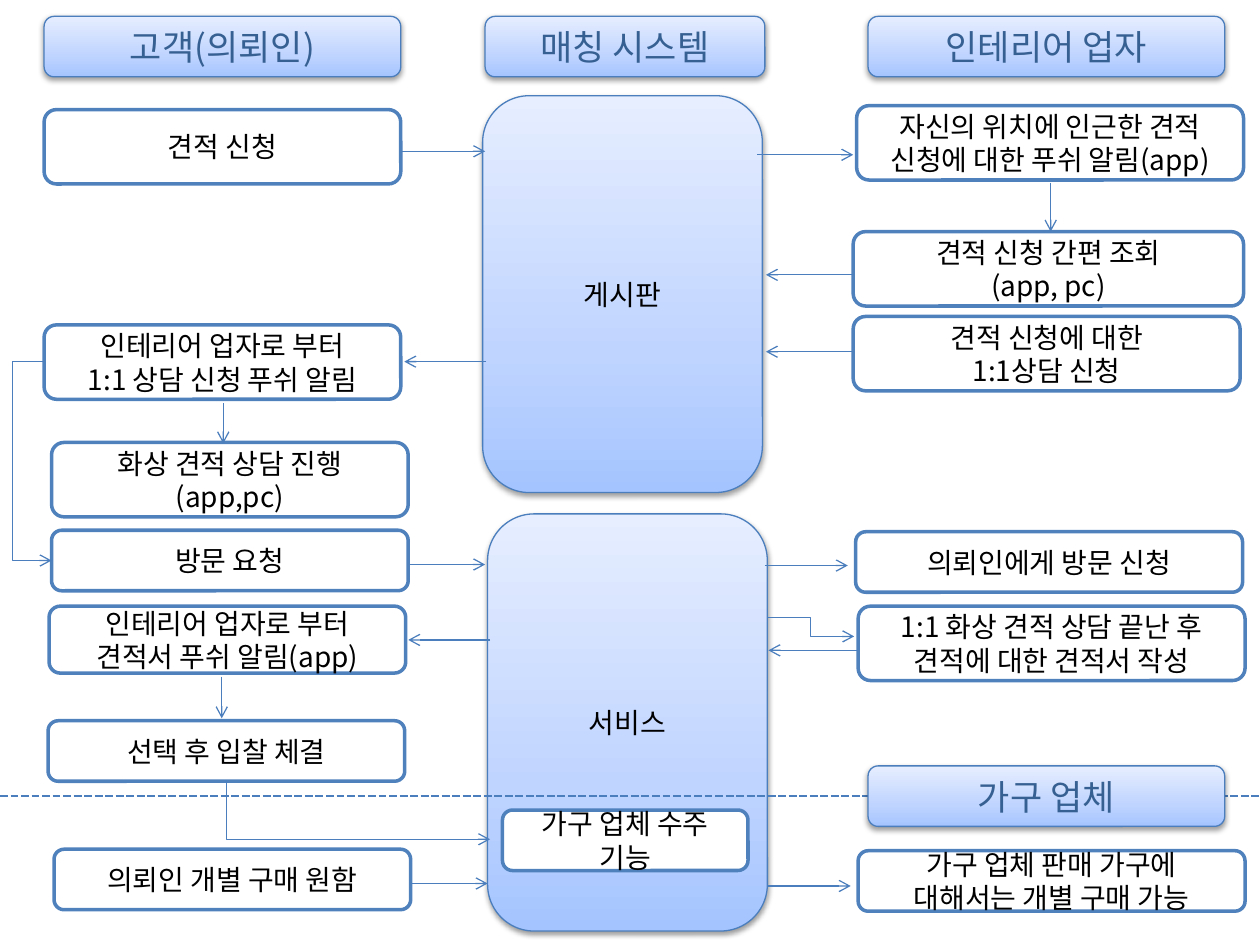
from dataclasses import dataclass

from lxml.etree import SubElement
from pptx import Presentation
from pptx.dml.color import RGBColor as Color
from pptx.enum.dml import MSO_LINE_DASH_STYLE as Dash
from pptx.enum.shapes import MSO_CONNECTOR_TYPE as Link, MSO_SHAPE as Preset
from pptx.enum.text import MSO_VERTICAL_ANCHOR as Anchor, PP_PARAGRAPH_ALIGNMENT as Align
from pptx.oxml import parse_xml
from pptx.oxml.ns import nsdecls, qn
from pptx.util import Cm, Pt


@dataclass(frozen=True)
class Theme:
    """Colours, type sizes and line widths of the slide."""

    font: str = "Noto Sans CJK KR"
    heading: str = "376092"
    text: str = "000000"
    paper: str = "FFFFFF"
    border: str = "4F81BD"
    line: str = "4B7EBC"
    gradient: tuple = ((0, "A4C4FF"), (35, "BFD4FF"), (100, "E6EEFF"))
    heading_size: int = 20
    text_size: int = 16
    border_width: float = 2
    line_width: float = 0.75
    divider_width: float = 1.5


def write_text(box, text, font, size, color):
    """Fill a shape with centred lines of text."""
    frame = box.text_frame
    frame.word_wrap = True
    frame.vertical_anchor = Anchor.MIDDLE
    for index, line in enumerate(text.split("\n")):
        para = frame.add_paragraph() if index else frame.paragraphs[0]
        para.alignment = Align.CENTER
        span = para.add_run()
        span.text = line
        span.font.size = Pt(size)
        span.font.name = font
        span.font.color.rgb = Color.from_string(color)
        SubElement(span.font._element, qn("a:ea")).set("typeface", font)


class FlowPage:
    """Draws the parts of a flow chart on one page, in centimetres."""

    def __init__(self, page, theme):
        self.shapes = page.shapes
        self.theme = theme

    def rounded(self, place, line_color, line_width):
        """Add a rounded rectangle without a shadow."""
        box = self.shapes.add_shape(Preset.ROUNDED_RECTANGLE, *map(Cm, place))
        box.shadow.inherit = False
        box.line.color.rgb = Color.from_string(line_color)
        box.line.width = Pt(line_width)
        return box

    def step(self, text, *place):
        """Add a white step box."""
        theme = self.theme
        box = self.rounded(place, theme.border, theme.border_width)
        box.fill.solid()
        box.fill.fore_color.rgb = Color.from_string(theme.paper)
        write_text(box, text, font=theme.font, size=theme.text_size, color=theme.text)

    def panel(self, text, *place, size=None, color=None):
        """Add a shaded panel with a gradient and a soft shadow."""
        theme = self.theme
        box = self.rounded(place, theme.line, theme.line_width)
        box.fill.background()
        stops = "".join(
            f'<a:gs pos="{position * 1000}"><a:srgbClr val="{shade}"/></a:gs>'
            for position, shade in theme.gradient
        )
        properties = box._element.spPr
        properties.replace(properties.find(qn("a:noFill")), parse_xml(
            f'<a:gradFill {nsdecls("a")} rotWithShape="1"><a:gsLst>{stops}</a:gsLst>'
            '<a:lin ang="16200000" scaled="0"/></a:gradFill>'
        ))
        properties.find(qn("a:effectLst")).append(parse_xml(
            f'<a:outerShdw {nsdecls("a")} blurRad="40000" dist="20000" dir="5400000"'
            ' rotWithShape="0"><a:srgbClr val="000000"><a:alpha val="38000"/>'
            '</a:srgbClr></a:outerShdw>'
        ))
        write_text(box, text, font=theme.font, size=size or theme.text_size,
                   color=color or theme.text)

    def header(self, text, *place):
        """Add a shaded column heading."""
        self.panel(text, *place, size=self.theme.heading_size, color=self.theme.heading)

    def connect(self, ends, kind=Link.STRAIGHT, arrow=True, width=None):
        """Add a connector between two points."""
        link = self.shapes.add_connector(kind, *map(Cm, ends))
        link.line.color.rgb = Color.from_string(self.theme.line)
        link.line.width = Pt(width or self.theme.line_width)
        if arrow:
            SubElement(link.line._get_or_add_ln(), qn("a:tailEnd")).set("type", "arrow")
        SubElement(link._element.spPr, qn("a:effectLst"))
        return link

    def arrow(self, *ends):
        """Add a straight arrow."""
        self.connect(ends)

    def elbow(self, *ends, bend):
        """Add an arrow that turns twice, at the given horizontal position."""
        link = self.connect(ends, kind=Link.ELBOW)
        left, _, right, _ = ends
        ratio = round((bend - left) / (right - left) * 100000)
        geometry = link._element.spPr.find(qn("a:prstGeom"))
        guide = SubElement(geometry.find(qn("a:avLst")), qn("a:gd"))
        guide.set("name", "adj1")
        guide.set("fmla", f"val {ratio}")

    def corner(self, left, top, right, bottom):
        """Add an arrow that goes down and then right."""
        link = self.connect((left, top, right, bottom), kind=Link.ELBOW)
        across, down = right - left, bottom - top
        link.left = Cm((left + right - down) / 2)
        link.top = Cm((top + bottom - across) / 2)
        link.width, link.height = Cm(down), Cm(across)
        properties = link._element.spPr
        properties.find(qn("a:prstGeom")).set("prst", "bentConnector2")
        frame = properties.find(qn("a:xfrm"))
        frame.set("rot", "16200000")
        frame.set("flipH", "1")

    def divider(self, *ends):
        """Add a dashed line."""
        link = self.connect(ends, arrow=False, width=self.theme.divider_width)
        link.line.dash_style = Dash.SQUARE_DOT


CUSTOMER, SYSTEM, VENDOR = 7.19, 5.64, 7.8
LOW, TALL = 1.22, 1.5

HEADERS = (
    ("고객(의뢰인)", 0.89, 0.33, CUSTOMER, LOW),
    ("매칭 시스템", 9.78, 0.33, SYSTEM, LOW),
    ("인테리어 업자", 17.5, 0.33, CUSTOMER, LOW),
)
PANELS = (
    ("게시판", 9.73, 1.93, SYSTEM, 8),
    ("서비스", 9.83, 10.36, SYSTEM, 8.41),
)
STEPS = (
    ("견적 신청", 0.89, 2.21, CUSTOMER, TALL),
    ("인테리어 업자로 부터\n1:1 상담 신청 푸쉬 알림", 0.89, 6.55, CUSTOMER, TALL),
    ("화상 견적 상담 진행\n(app,pc)", 1.04, 8.92, CUSTOMER, TALL),
    ("방문 요청", 1.04, 10.69, CUSTOMER, LOW),
    ("인테리어 업자로 부터\n견적서 푸쉬 알림(app)", 0.99, 12.22, CUSTOMER, 1.35),
    ("선택 후 입찰 체결", 0.97, 14.53, CUSTOMER, LOW),
    ("의뢰인 개별 구매 원함", 1.09, 17.12, CUSTOMER, LOW),
    ("가구 업체 수주 기능", 10.13, 16.33, 4.95, LOW),
    ("자신의 위치에 인근한 견적\n신청에 대한 푸쉬 알림(app)", 17.27, 2.13, VENDOR, TALL),
    ("견적 신청 간편 조회\n(app, pc)", 17.2, 4.67, 7.87, TALL),
    ("견적 신청에 대한\n1:1상담 신청", 17.2, 6.38, VENDOR, TALL),
    ("의뢰인에게 방문 신청", 17.25, 10.72, VENDOR, LOW),
    ("1:1 화상 견적 상담 끝난 후\n견적에 대한 견적서 작성", 17.3, 12.22, VENDOR, TALL),
    ("가구 업체 판매 가구에\n대해서는 개별 구매 가능", 17.3, 17.15, VENDOR, LOW),
)
ARROWS = (
    (8.1, 3.05, 9.78, 3.05), (9.8, 7.29, 8.15, 7.29), (4.5, 8.13, 4.5, 8.94),
    (8.26, 11.38, 9.78, 11.38), (9.88, 12.9, 8.23, 12.9), (4.47, 13.64, 4.47, 14.48),
    (8.28, 17.81, 9.83, 17.81), (15.27, 3.12, 17.2, 3.12), (21.18, 3.68, 21.18, 4.67),
    (17.22, 5.54, 15.44, 5.54), (17.22, 7.09, 15.44, 7.09), (15.42, 11.4, 17.09, 11.4),
    (17.3, 13.11, 15.49, 13.11), (15.47, 17.86, 17.15, 17.86),
)

deck = Presentation()
deck.slide_width, deck.slide_height = Cm(25.4), Cm(19.05)
flow = FlowPage(deck.slides.add_slide(deck.slide_layouts[6]), Theme())
for draw, items in (
    (flow.header, HEADERS), (flow.panel, PANELS), (flow.step, STEPS), (flow.arrow, ARROWS),
):
    for item in items:
        draw(*item)
flow.elbow(0.89, 7.29, 1.04, 11.3, bend=0.25)
flow.elbow(15.47, 12.45, 17.22, 12.83, bend=16.34)
flow.corner(4.57, 15.75, 9.88, 16.92)
flow.divider(0, 16.05, 25.4, 16.05)
flow.header("가구 업체", 17.5, 15.44, CUSTOMER, LOW)
deck.save("out.pptx")
